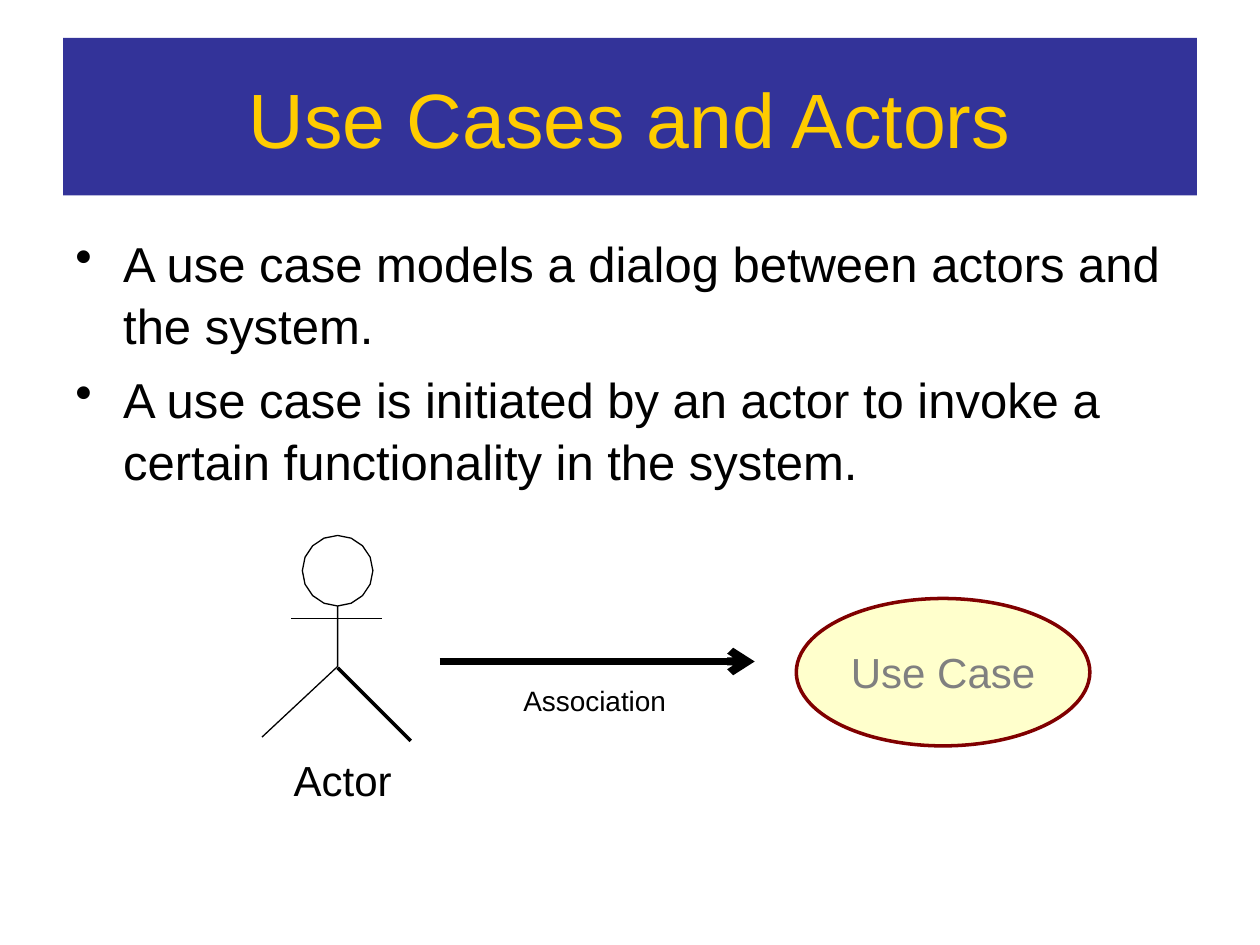
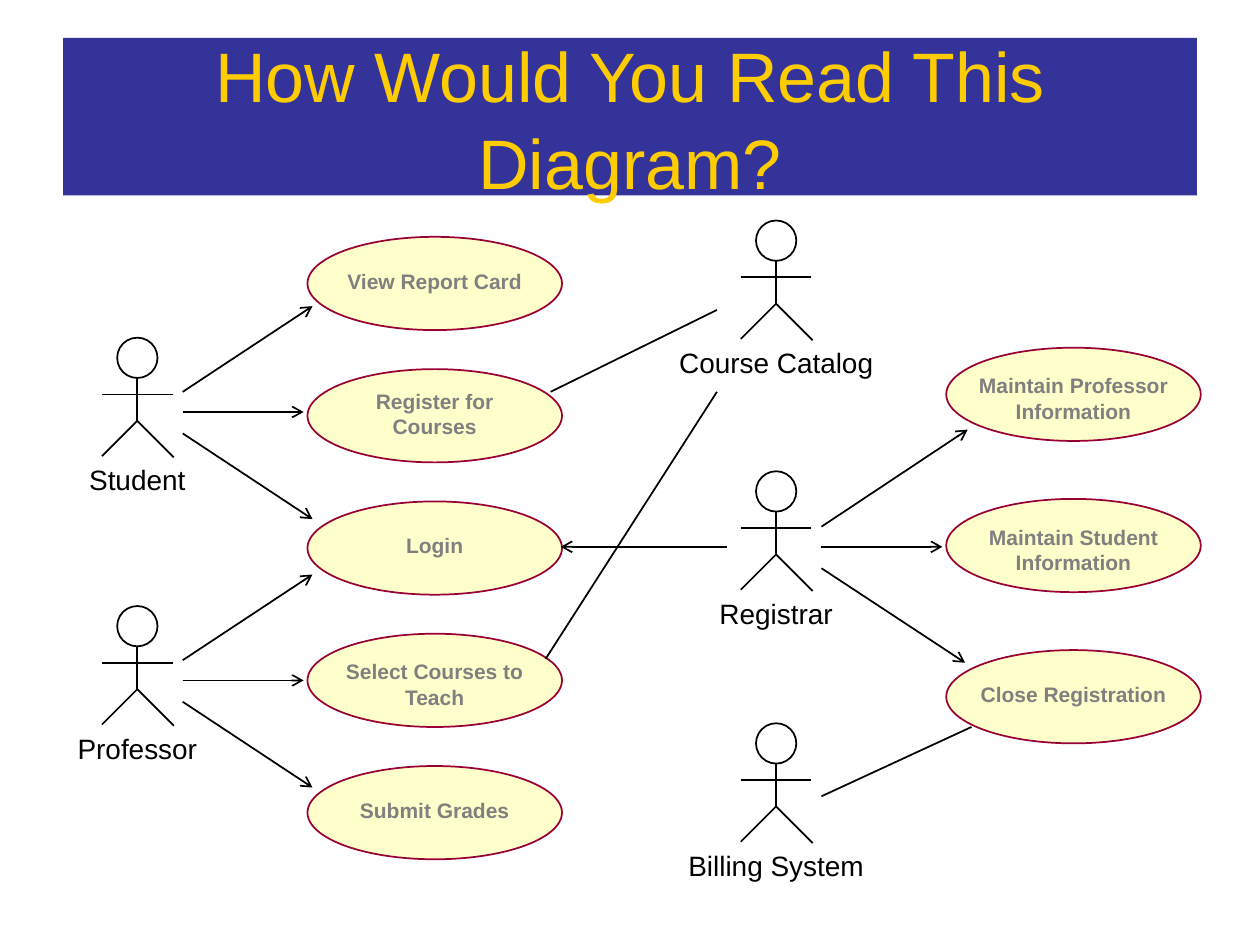
from math import cos, pi, sin
from pptx import Presentation
from pptx.dml.color import RGBColor
from pptx.enum.shapes import MSO_CONNECTOR as Link, MSO_SHAPE as Kind
from pptx.enum.text import MSO_ANCHOR as Anchor, MSO_AUTO_SIZE as Fit, PP_ALIGN as Align
from pptx.oxml.ns import qn
from pptx.util import Inches, Pt
from lxml.etree import SubElement as Sub

# Shared colours and font
rgb = RGBColor.from_string
BLACK, GREY = "000000", "808080"
BAND, GOLD, CREAM = "333399", "FFCC00", "FFFFCC"
FONT = "Arial"


def ink(shape, width, color=BLACK, fill=None, arrow=False):
    """Style an outline, with an optional fill or arrowhead, and no shadow."""
    shape.line.color.rgb = rgb(color)
    shape.line.width = Pt(width)
    if fill:
        shape.fill.solid()
        shape.fill.fore_color.rgb = rgb(fill)
    elif hasattr(shape, "fill"):
        shape.fill.background()
    props = shape._element.spPr
    if arrow:
        Sub(props.find(qn("a:ln")), qn("a:tailEnd"), type="arrow")
    Sub(props, qn("a:effectLst"))


def label(slide, mid, top, width, height, lines, size, color=BLACK, bold=False):
    """Add centred text around the vertical line x = mid."""
    box = slide.shapes.add_textbox(Inches(mid - width / 2), Inches(top),
                                   Inches(width), Inches(height))
    frame = box.text_frame
    frame.word_wrap = False
    frame.vertical_anchor = Anchor.MIDDLE
    frame.text = lines
    for para in frame.paragraphs:
        para.alignment = Align.CENTER
        para.font.name, para.font.size, para.font.bold = FONT, Pt(size), bold
        para.font.color.rgb = rgb(color)


deck = Presentation()
deck.slide_width, deck.slide_height = Inches(10), Inches(7.5)

# Title bands
slides = []
for text, size in [("Use Cases and Actors", 44),
                   ("How Would You Read This Diagram?", 40)]:
    slide = deck.slides.add_slide(deck.slide_layouts[5])
    title = slide.shapes.title
    title.left, title.top = Inches(0.5), Inches(0.3)
    title.width, title.height = Inches(9), Inches(1.25)
    title.fill.solid()
    title.fill.fore_color.rgb = rgb(BAND)
    frame = title.text_frame
    frame.text = text
    frame.auto_size = Fit.NONE
    frame.vertical_anchor = Anchor.MIDDLE
    para = frame.paragraphs[0]
    para.alignment = Align.CENTER
    para.line_spacing = 1.03
    para.font.name, para.font.size = FONT, Pt(size)
    para.font.color.rgb = rgb(GOLD)
    slides.append(slide)
intro, chart = slides

# Slide 1: bullets
body = intro.shapes.add_textbox(Inches(0.5), Inches(1.75), Inches(9), Inches(2.25))
frame = body.text_frame
frame.word_wrap = True
frame.margin_top = Inches(0.08)
frame.text = ("A use case models a dialog between actors and the system.\n"
              "A use case is initiated by an actor to invoke a certain "
              "functionality in the system.")
for para in frame.paragraphs:
    para.line_spacing, para.space_after = 1.05, Pt(7)
    para.font.name, para.font.size = FONT, Pt(28)
    para.font.color.rgb = rgb(BLACK)
    props = para._p.get_or_add_pPr()
    props.set("marL", str(Inches(0.38)))
    props.set("indent", str(-Inches(0.38)))
    Sub(props, qn("a:buChar"), char="•")

# Slide 1: actor with a sixteen-sided head
ring = [(2.68 + 0.28 * sin(k * pi / 8), 4.53 - 0.28 * cos(k * pi / 8))
        for k in range(17)]
torso = [(2.68, 4.81), (2.68, 5.29), (2.08, 5.85)]
for points in (ring, torso):
    dots = [(Inches(x), Inches(y)) for x, y in points]
    form = intro.shapes.build_freeform(*dots[0], scale=1.0)
    form.add_line_segments(dots[1:], close=points is ring)
    ink(form.convert_to_shape(), 0)
label(intro, 2.72, 5.94, 0.98, 0.5, "Actor", 24)
label(intro, 4.72, 5.36, 1.37, 0.39, "Association", 16)

# Use cases on both slides: slide, left, top, text
cases = [(intro, 6.32, 4.75, "Use Case")]
cases += [(chart, 2.44, 1.88 + 1.05 * row, text) for row, text in enumerate(
    ["View Report Card", "Register for Courses", "Login",
     "Select Courses to\nTeach", "Submit Grades"])]
cases += [(chart, 7.51, 2.76 + 1.2 * row, text) for row, text in enumerate(
    ["Maintain Professor\nInformation", "Maintain Student\nInformation",
     "Close Registration"])]
for slide, left, top, text in cases:
    big = slide is intro
    wide, high = (2.33, 1.17) if big else (2.02, 0.74)
    oval = slide.shapes.add_shape(Kind.OVAL, Inches(left), Inches(top),
                                  Inches(wide), Inches(high))
    mid = left + wide / 2
    if big:
        ink(oval, 2, "800000", CREAM)
        label(slide, mid, top + 0.33, 1.67, 0.5, text, 24, GREY)
    else:
        ink(oval, 1, "990033", CREAM)
        drop, tall = (0.15, 0.5) if "\n" in text else (0.2, 0.3)
        label(slide, mid, top + drop, 1.7, tall, text, 12, GREY, True)

# Lines on both slides: slide, x1, y1, x2, y2, width, arrow
lines = [(intro, 2.68, 5.3, 3.26, 5.88, 0, False),
         (intro, 2.31, 4.91, 3.03, 4.91, 0.75, False),
         (intro, 3.49, 5.25, 5.99, 5.25, 4.5, True)]

# Slide 2: actors, each from the middle and top of the head
for mid, top, name, width in [(1.09, 2.68, "Student", 1),
                              (1.09, 4.81, "Professor", 1.19),
                              (6.16, 1.75, "Course Catalog", 1.78),
                              (6.16, 3.74, "Registrar", 1.14),
                              (6.16, 5.74, "Billing System", 1.63)]:
    head = chart.shapes.add_shape(Kind.OVAL, Inches(mid - 0.16), Inches(top),
                                  Inches(0.32), Inches(0.32))
    ink(head, 1)
    hip = top + 0.66
    legs = chart.shapes.build_freeform(Inches(mid - 0.28), Inches(hip + 0.28), scale=1.0)
    legs.add_line_segments([(Inches(mid), Inches(hip)),
                            (Inches(mid + 0.29), Inches(hip + 0.29))], close=False)
    ink(legs.convert_to_shape(), 1)
    label(chart, mid, top + 0.93, width, 0.39, name, 16)
    lines += [(chart, mid, top + 0.32, mid, hip, 1, False),
              (chart, mid - 0.28, top + 0.45, mid + 0.28, top + 0.45, 1, False)]

# Slide 2: three arrows fan out from Student and from Professor
for y in (3.27, 5.4):
    lines += [(chart, 1.45, y - 0.16, 2.48, y - 0.84, 1, True),
              (chart, 1.45, y, 2.41, y, 1, True),
              (chart, 1.45, y + 0.17, 2.48, y + 0.85, 1, True)]

# Slide 2: Registrar arrows, then plain links to the other systems
lines += [(chart, *ends, 1, True) for ends in [
    (6.52, 4.18, 7.68, 3.41), (6.52, 4.34, 7.48, 4.34),
    (6.52, 4.51, 7.66, 5.26), (5.77, 4.34, 4.45, 4.34)]]
lines += [(chart, *ends, 1, False) for ends in [
    (4.33, 5.23, 5.69, 3.11), (4.37, 3.11, 5.69, 2.46), (6.52, 6.32, 7.71, 5.77)]]

for slide, x1, y1, x2, y2, width, arrow in lines:
    link = slide.shapes.add_connector(Link.STRAIGHT, Inches(x1), Inches(y1),
                                      Inches(x2), Inches(y2))
    ink(link, width, arrow=arrow)

deck.save("out.pptx")
